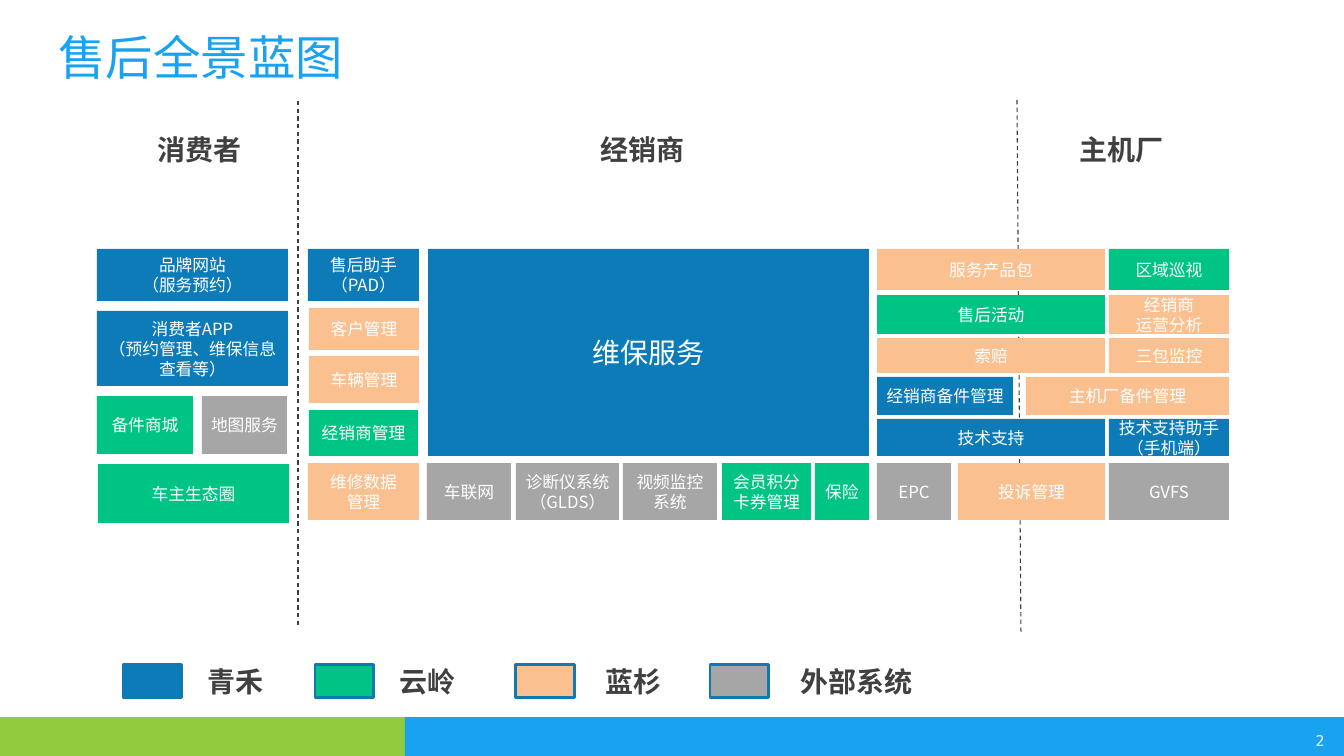
from lxml.etree import SubElement
from pptx import Presentation
from pptx.dml.color import RGBColor
from pptx.enum.dml import MSO_LINE
from pptx.enum.shapes import MSO_CONNECTOR, MSO_SHAPE
from pptx.enum.text import MSO_ANCHOR, PP_ALIGN
from pptx.oxml.ns import qn
from pptx.util import Emu, Pt

EMU_PER_PX = 8572.5
SLIDE_WIDTH, SLIDE_HEIGHT = 1344, 756

BLUE = RGBColor(0x0D, 0x7B, 0xB8)
GREEN = RGBColor(0x00, 0xC4, 0x83)
ORANGE = RGBColor(0xFA, 0xC0, 0x90)
GRAY = RGBColor(0xA6, 0xA6, 0xA6)
SKY = RGBColor(0x18, 0xA2, 0xEF)
LIME = RGBColor(0x90, 0xCC, 0x3D)
DARK = RGBColor(0x40, 0x40, 0x40)
WHITE = RGBColor(0xFF, 0xFF, 0xFF)
SWATCH_BORDER = RGBColor(0x12, 0x78, 0xB1)

CJK_FONT = "Noto Sans CJK SC"
BOX_SIZE, LARGE_SIZE = 11.3, 18.9

# Each row: top, height, then (left, width, colour, text) for its boxes
CONSUMER_ROWS = [
    (249, 52, [(97, 191, BLUE, "品牌网站\n（服务预约）")]),
    (311, 75, [(97, 191, BLUE, "消费者APP\n（预约管理、维保信息查看等）")]),
    (396, 58, [(97, 96, GREEN, "备件商城"), (202, 85, GRAY, "地图服务")]),
    (464, 59, [(98, 191, GREEN, "车主生态圈")]),
]
DEALER_ROWS = [
    (249, 52, [(308, 111, BLUE, "售后助手（PAD）")]),
    (308, 42, [(309, 110, ORANGE, "客户管理")]),
    (356, 47, [(309, 110, ORANGE, "车辆管理")]),
    (410, 46, [(309, 109, GREEN, "经销商管理")]),
]
FACTORY_ROWS = [
    (249, 41, [(877, 228, ORANGE, "服务产品包"), (1109, 120, GREEN, "区域巡视")]),
    (295, 39, [(877, 228, GREEN, "售后活动"), (1109, 120, ORANGE, "经销商\n运营分析")]),
    (338, 35, [(877, 228, ORANGE, "索赔"), (1109, 120, ORANGE, "三包监控")]),
    (377, 38, [(877, 136, BLUE, "经销商备件管理"), (1026, 203, ORANGE, "主机厂备件管理")]),
    (419, 37, [(877, 228, BLUE, "技术支持"), (1109, 120, BLUE, "技术支持助手\n（手机端）")]),
]
SYSTEM_ROWS = [
    (463, 57, [
        (308, 111, ORANGE, "维修数据\n管理"),
        (427, 84, GRAY, "车联网"),
        (516, 103, GRAY, "诊断仪系统\n（GLDS）"),
        (623, 94, GRAY, "视频监控系统"),
        (722, 89, GREEN, "会员积分卡券管理"),
        (815, 54, GREEN, "保险"),
        (877, 74, GRAY, "EPC"),
        (958, 147, ORANGE, "投诉管理"),
        (1109, 120, GRAY, "GVFS"),
    ]),
]
HEADINGS = [(147, 112, "消费者"), (590, 110, "经销商"), (1069, 116, "主机厂")]
# Swatch left, label left, label width, colour, supplier
LEGEND = [
    (123, 197, 102, BLUE, "青禾"),
    (315, 389, 102, GREEN, "云岭"),
    (516, 595, 102, ORANGE, "蓝杉"),
    (710, 790, 204, GRAY, "外部系统"),
]


def px(length):
    return Emu(round(length * EMU_PER_PX))


def bounds(*lengths):
    return [px(length) for length in lengths]


def write_text(shape, text, size, color, font_name, alignment=PP_ALIGN.LEFT, bold=False):
    """Fill the shape's text frame, one paragraph a line, and return the frame."""
    frame = shape.text_frame
    frame.word_wrap = True
    frame.text = text
    for paragraph in frame.paragraphs:
        paragraph.alignment = alignment
        font = paragraph.font
        font.size = Pt(size)
        font.bold = bold
        font.color.rgb = color
        font.name = font_name
        east_asian = SubElement(font._element, qn("a:ea"))
        east_asian.set("typeface", CJK_FONT)
    return frame


def add_rectangle(slide, left, top, width, height, color):
    shape = slide.shapes.add_shape(MSO_SHAPE.RECTANGLE, *bounds(left, top, width, height))
    shape.shadow.inherit = False
    shape.fill.solid()
    shape.fill.fore_color.rgb = color
    shape.line.fill.background()
    return shape


def add_box(slide, left, top, width, height, color, text, size=BOX_SIZE):
    shape = add_rectangle(slide, left, top, width, height, color)
    frame = write_text(shape, text, size, WHITE, CJK_FONT, PP_ALIGN.CENTER)
    frame.vertical_anchor = MSO_ANCHOR.MIDDLE
    frame.margin_left = frame.margin_right = px(8)
    frame.margin_top = frame.margin_bottom = px(4)


def add_rows(slide, rows):
    for top, height, boxes in rows:
        for left, width, color, text in boxes:
            add_box(slide, left, top, width, height, color, text)


def add_text(slide, left, top, width, height, *text_style, **options):
    shape = slide.shapes.add_textbox(*bounds(left, top, width, height))
    return write_text(shape, *text_style, **options)


def add_label(slide, left, top, width, text):
    add_text(slide, left, top, width, 45, text, LARGE_SIZE, DARK, "Calibri", bold=True)


def add_divider(slide, *ends):
    connector = slide.shapes.add_connector(MSO_CONNECTOR.STRAIGHT, *bounds(*ends))
    connector.line.color.rgb = DARK
    connector.line.width = Pt(0.75)
    connector.line.dash_style = MSO_LINE.DASH
    SubElement(connector._element.spPr, qn("a:effectLst"))


def add_legend(slide):
    for swatch_left, label_left, label_width, color, supplier in LEGEND:
        swatch = add_rectangle(slide, swatch_left, 665, 59, 33, color)
        swatch.line.color.rgb = SWATCH_BORDER
        swatch.line.width = Pt(2)
        add_label(slide, label_left, 659, label_width, supplier)


def add_footer(slide):
    add_rectangle(slide, 0, 717, 407, 39, LIME)
    add_rectangle(slide, 405, 717, 939, 39, SKY)
    add_text(slide, 1181, 726, 154, 29, "2", 10, WHITE, "DejaVu Sans Mono",
             alignment=PP_ALIGN.RIGHT)


def main():
    presentation = Presentation()
    presentation.slide_width = px(SLIDE_WIDTH)
    presentation.slide_height = px(SLIDE_HEIGHT)
    slide = presentation.slides.add_slide(presentation.slide_layouts[6])

    add_footer(slide)
    title = add_text(slide, 48, 29, 1159, 60, "售后全景蓝图", 32, SKY, "Arial")
    title.paragraphs[0].line_spacing = 0.9

    add_divider(slide, 298, 101, 298, 627)
    add_divider(slide, 1017, 100, 1021, 633)
    for left, width, heading in HEADINGS:
        add_label(slide, left, 127, width, heading)

    for rows in (CONSUMER_ROWS, DEALER_ROWS, FACTORY_ROWS, SYSTEM_ROWS):
        add_rows(slide, rows)
    add_box(slide, 428, 249, 441, 207, BLUE, "维保服务", LARGE_SIZE)
    add_legend(slide)

    presentation.save("out.pptx")


if __name__ == "__main__":
    main()
